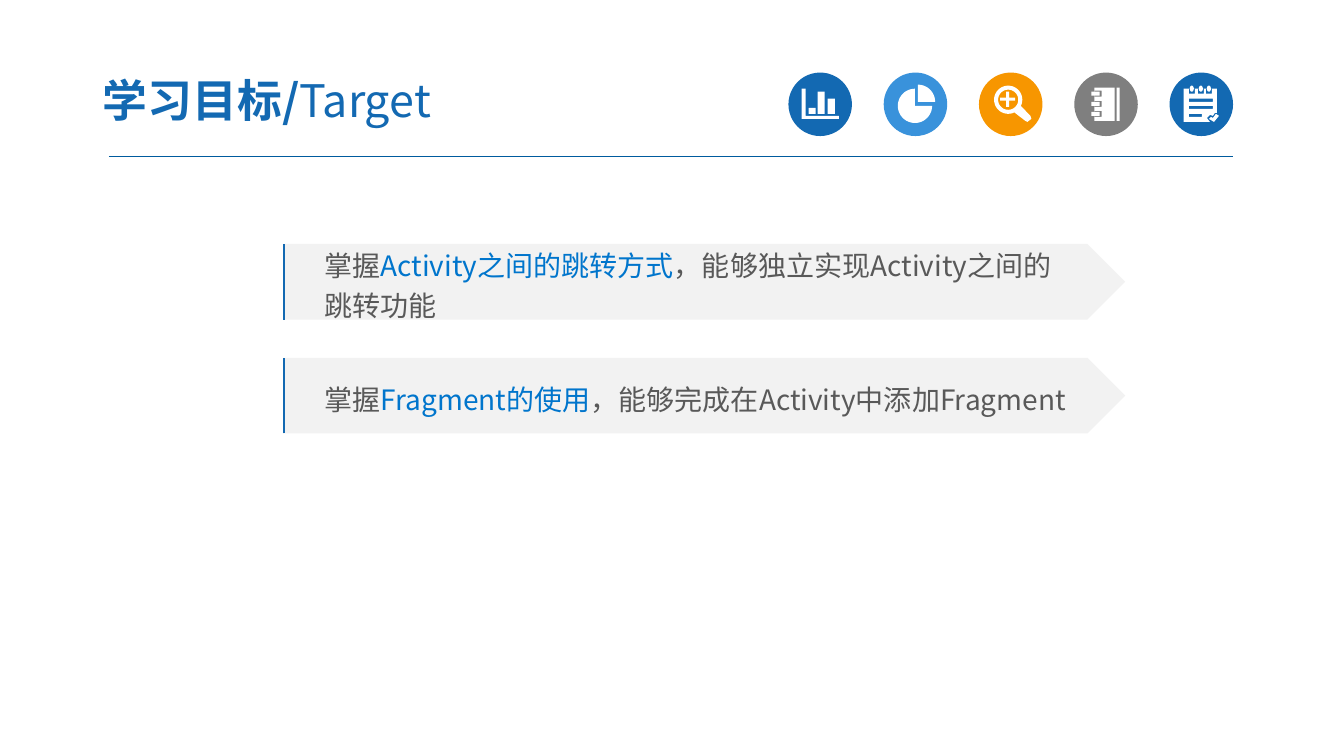
from dataclasses import dataclass
from math import cos, radians, sin

from lxml.etree import SubElement
from pptx import Presentation
from pptx.dml.color import RGBColor
from pptx.enum.shapes import MSO_CONNECTOR, MSO_SHAPE
from pptx.enum.text import MSO_ANCHOR, PP_ALIGN
from pptx.oxml.ns import qn
from pptx.slide import Slide
from pptx.util import Inches, Pt

BLUE = RGBColor(0x13, 0x69, 0xB2)
SKY = RGBColor(0x39, 0x92, 0xDB)
ORANGE = RGBColor(0xF7, 0x96, 0x00)
GRAY = RGBColor(0x7F, 0x7F, 0x7F)
RULE = RGBColor(0x00, 0x5B, 0x9E)
HIGHLIGHT = RGBColor(0x00, 0x75, 0xCC)
INK = RGBColor(0x59, 0x59, 0x59)
PALE = RGBColor(0xF2, 0xF2, 0xF2)
WHITE = RGBColor(0xFF, 0xFF, 0xFF)


def block(left, top, right, bottom):
    return [(left, top), (right, top), (right, bottom), (left, bottom)]


def arc(x, y, width, height, start=0, end=360):
    steps = 36
    angles = [radians(start + (end - start) * step / steps) for step in range(steps + 1)]
    return [(x + width * cos(angle), y + height * sin(angle)) for angle in angles]


def bar_chart():
    axis = [(0.13, 0.16), (0.17, 0.16), (0.17, 0.43), (0.5, 0.43), (0.5, 0.46), (0.13, 0.46)]
    bars = [(0.2, 0.35), (0.29, 0.19), (0.39, 0.26)]
    return [axis] + [block(left, top, left + 0.07, 0.41) for left, top in bars]


def pie_chart():
    return [
        [(0.31, 0.33)] + arc(0.31, 0.33, 0.17, 0.17, 0, 270),
        [(0.34, 0.29)] + arc(0.34, 0.29, 0.17, 0.17, 270, 360),
    ]


def magnifier():
    handle = [(0.51, 0.43), (0.52, 0.46), (0.48, 0.49), (0.46, 0.48)]
    return [
        arc(0.29, 0.27, 0.14, 0.14, 64, 386) + handle,
        arc(0.29, 0.27, 0.1, 0.1),
        block(0.21, 0.25, 0.36, 0.28),
        block(0.27, 0.19, 0.3, 0.25),
        block(0.27, 0.28, 0.3, 0.34),
    ]


def notebook():
    contours = [block(0.42, 0.15, 0.45, 0.48), block(0.2, 0.15, 0.4, 0.48)]
    for y in (0.21, 0.31, 0.41):
        contours.append(block(0.2, y - 0.03, 0.27, y + 0.03))
        contours.append(block(0.17, y - 0.02, 0.25, y + 0.02))
    return contours


def checklist():
    page = [(0.14, 0.16), (0.47, 0.16), (0.47, 0.4), (0.45, 0.4), (0.43, 0.43),
            (0.4, 0.42), (0.37, 0.45), (0.4, 0.49), (0.14, 0.49)]
    tick = [(0.39, 0.46), (0.41, 0.44), (0.43, 0.45), (0.46, 0.41), (0.49, 0.43), (0.44, 0.49)]
    contours = [page, tick]
    for top, right in ((0.26, 0.43), (0.33, 0.43), (0.41, 0.32)):
        contours.append(block(0.19, top, right, top + 0.03))
    for x in (0.22, 0.31, 0.39):
        contours.append(block(x - 0.03, 0.16, x + 0.03, 0.21))
        contours.append(arc(x, 0.16, 0.02, 0.03))
    return contours


@dataclass
class Painter:
    """Draws styled elements on the current slide."""
    page: Slide
    font: str = "Noto Sans CJK SC"

    def paint(self, shape, color):
        shape.shadow.inherit = False
        shape.fill.solid()
        shape.fill.fore_color.rgb = color
        shape.line.fill.background()

    def shape(self, kind, left, top, width, height, color):
        shape = self.page.shapes.add_shape(
            kind, Inches(left), Inches(top), Inches(width), Inches(height))
        self.paint(shape, color)
        return shape

    def line(self, start, end, color, weight):
        line = self.page.shapes.add_connector(
            MSO_CONNECTOR.STRAIGHT, *(Inches(value) for value in (*start, *end)))
        line.line.color.rgb = color
        line.line.width = Pt(weight)
        SubElement(line._element.spPr, qn("a:effectLst"))

    def icon(self, left, top, color, contours):
        self.shape(MSO_SHAPE.OVAL, left, top, 0.63, 0.63, color)
        outlines = [[(Inches(left + x), Inches(top + y)) for x, y in contour]
                    for contour in contours]
        builder = self.page.shapes.build_freeform(*outlines[0][0])
        for outline in outlines:
            if outline is not outlines[0]:
                builder.move_to(*outline[0])
            builder.add_line_segments(outline[1:], close=True)
        self.paint(builder.convert_to_shape(), WHITE)

    def style(self, paragraph, size, color):
        paragraph.alignment = PP_ALIGN.LEFT
        paragraph.font.name = self.font
        paragraph.font.size = Pt(size)
        paragraph.font.color.rgb = color
        properties = paragraph._p.get_or_add_pPr().find(qn("a:defRPr"))
        SubElement(properties, qn("a:ea"), typeface=self.font)

    def title(self, bold_text, plain_text):
        box = self.page.shapes.add_textbox(Inches(0.89), Inches(0.63), Inches(5.22), Inches(0.72))
        frame = box.text_frame
        frame.word_wrap = True
        frame.vertical_anchor = MSO_ANCHOR.MIDDLE
        frame.margin_left = frame.margin_right = Inches(0.13)
        frame.margin_top = frame.margin_bottom = Inches(0.07)
        paragraph = frame.paragraphs[0]
        self.style(paragraph, 32, BLUE)
        for text, bold in ((bold_text, True), (plain_text, False)):
            span = paragraph.add_run()
            span.text = text
            span.font.bold = bold

    def banner(self, top, paragraphs):
        frame = self.shape(MSO_SHAPE.PENTAGON, 2.81, top, 8.35, 0.75, PALE).text_frame
        frame.word_wrap = True
        frame.vertical_anchor = MSO_ANCHOR.MIDDLE
        for index, spans in enumerate(paragraphs):
            paragraph = frame.add_paragraph() if index else frame.paragraphs[0]
            paragraph._p.get_or_add_pPr().set("indent", str(Inches(0.31)))
            paragraph.line_spacing = 1.2
            self.style(paragraph, 20, INK)
            for text, highlighted in spans:
                span = paragraph.add_run()
                span.text = text
                if highlighted:
                    span.font.color.rgb = HIGHLIGHT
        self.line((2.82, top + 0.75), (2.82, top), BLUE, 1.5)


def main():
    deck = Presentation()
    deck.slide_width, deck.slide_height = Inches(13.33), Inches(7.5)
    painter = Painter(deck.slides.add_slide(deck.slide_layouts[6]))

    painter.line((1.08, 1.55), (12.23, 1.55), RULE, 0.75)
    icons = [(BLUE, bar_chart), (SKY, pie_chart), (ORANGE, magnifier),
             (GRAY, notebook), (BLUE, checklist)]
    for index, (color, drawing) in enumerate(icons):
        painter.icon(7.82 + index * 3.78 / 4, 0.72, color, drawing())

    painter.title("学习目标/", "Target")
    goals = [
        [[("掌握", False), ("Activity之间的跳转方式", True),
          ("，能够独立实现Activity之间的", False)],
         [("跳转功能", False)]],
        [[("掌握", False), ("Fragment的使用", True),
          ("，能够完成在Activity中添加Fragment", False)]],
    ]
    for index, paragraphs in enumerate(goals):
        painter.banner(2.42 + index * 1.13, paragraphs)
    deck.save("out.pptx")


if __name__ == "__main__":
    main()
